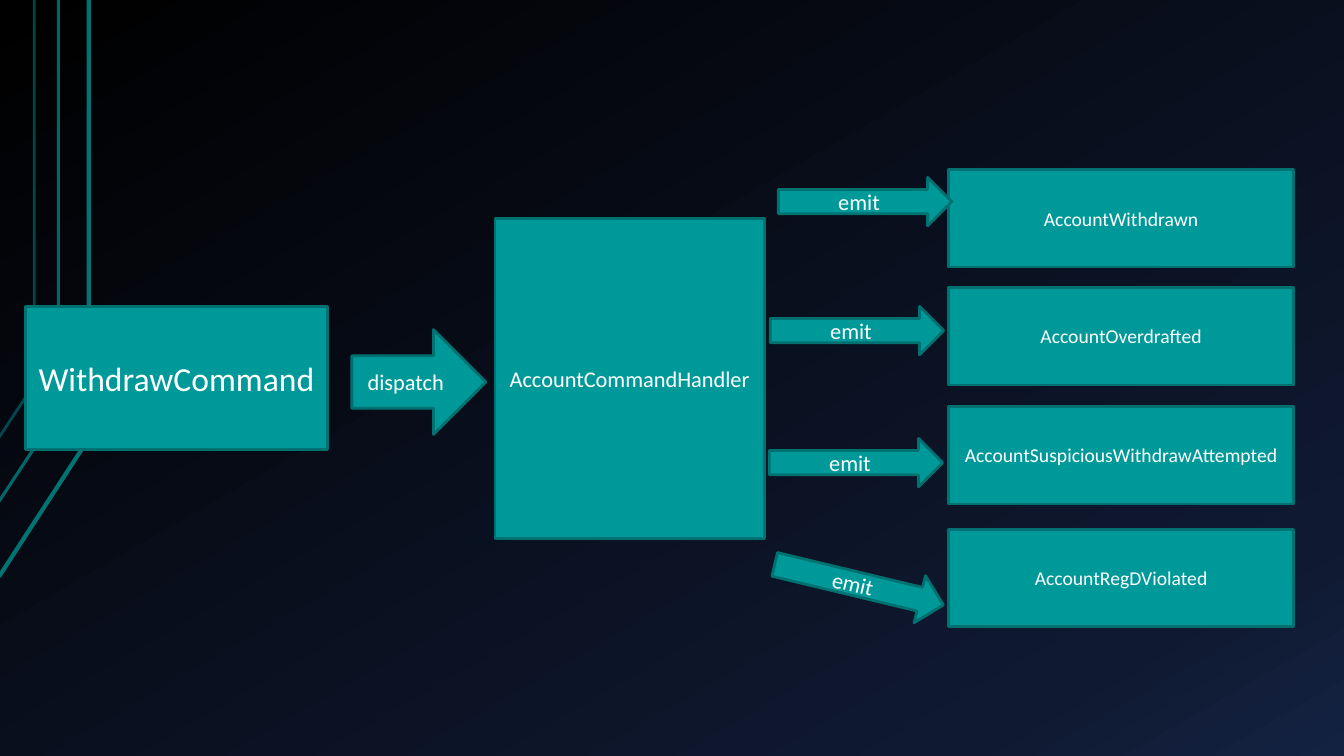
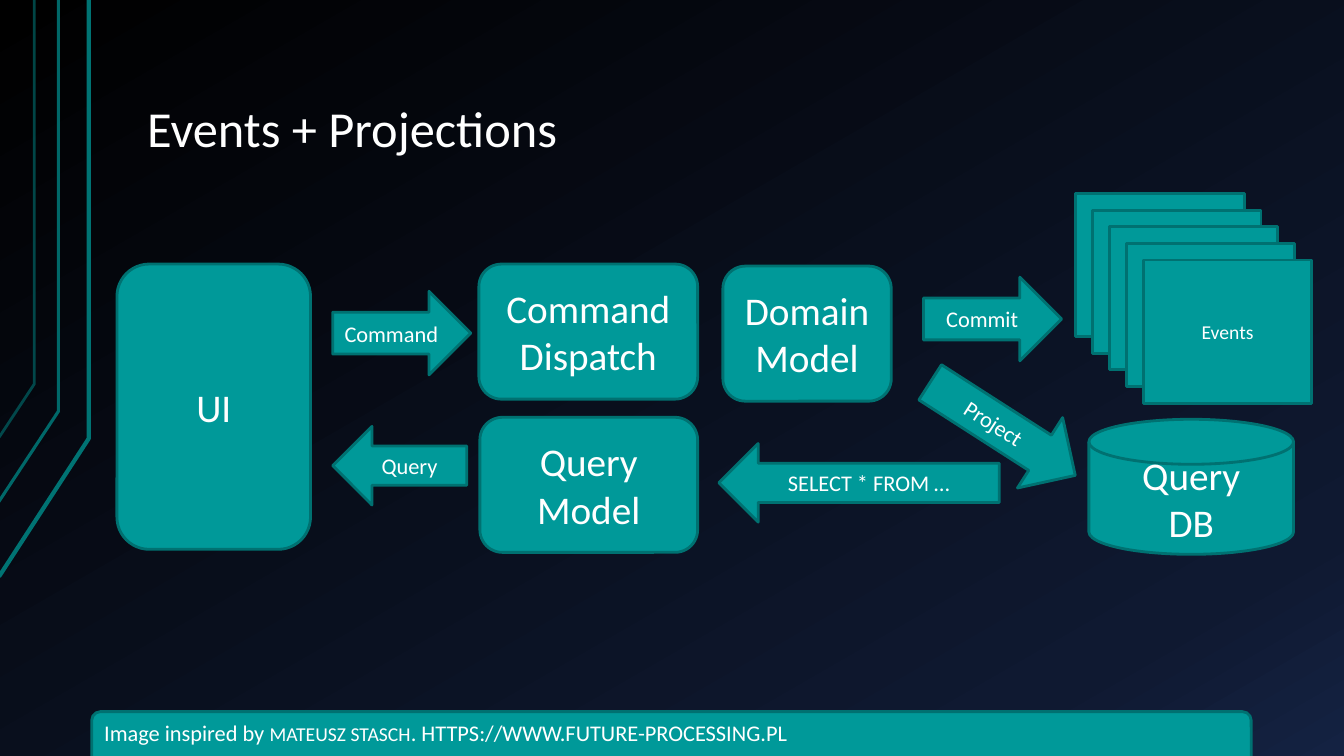
from copy import deepcopy
from dataclasses import dataclass

from lxml.etree import SubElement
from pptx import Presentation
from pptx.dml.color import RGBColor
from pptx.enum.shapes import MSO_SHAPE as Shape
from pptx.enum.text import MSO_ANCHOR as Anchor, MSO_AUTO_SIZE as AutoSize, PP_ALIGN as Align
from pptx.oxml.ns import qn
from pptx.util import Inches, Pt


@dataclass(frozen=True)
class Theme:
    font: str = "Calibri"
    white: str = "FFFFFF"
    fill: str = "009999"
    edge: str = "007171"
    rail: str = "007373"
    backdrop: tuple = ((0, "000000"), (0.85, "0F1931"), (1, "142242"))
    backdrop_angle: int = 300
    edge_width: float = 2
    title: int = 36
    block: int = 28
    command: int = 24
    label: int = 16
    small: int = 14


@dataclass(frozen=True)
class Box:
    left: float
    top: float
    width: float
    height: float

    def inner(self, left, top, width, height):
        return Box(self.left + left, self.top + top, width, height)

    def lengths(self):
        return [Inches(v) for v in (self.left, self.top, self.width, self.height)]


THEME = Theme()
RAILS = (
    (((-0.01, 5.72), (0.88, 4.35), (0.88, 0)), 3, 100),
    (((-0.02, 4.99), (0.58, 4.08), (0.58, 0)), 2.25, 90),
    (((-0.01, 4.34), (0.34, 3.81), (0.34, 0)), 2, 60),
)


def apply(target, formats):
    for name, value in formats.items():
        setattr(target, name, value)


def style_font(font, size):
    apply(font, {"name": THEME.font, "size": Pt(size)})
    font.color.rgb = RGBColor.from_string(THEME.white)


def paint_backdrop(master):
    fill = master.background.fill
    fill.gradient()
    fill.gradient_angle = THEME.backdrop_angle
    stop_list = next(master.element.iter(qn("a:gsLst")))
    stop_list.append(deepcopy(stop_list[-1]))
    for stop, (position, color) in zip(fill.gradient_stops, THEME.backdrop):
        stop.position = position
        stop.color.rgb = RGBColor.from_string(color)


def draw_rails(slide):
    for points, width, opacity in RAILS:
        start, *rest = [(Inches(x), Inches(y)) for x, y in points]
        builder = slide.shapes.build_freeform(*start)
        builder.add_line_segments(rest, close=False)
        rail = builder.convert_to_shape()
        rail.shadow.inherit = False
        rail.fill.background()
        rail.line.width = Pt(width)
        rail.line.color.rgb = RGBColor.from_string(THEME.rail)
        color = next(rail.element.iter(qn("a:srgbClr")))
        SubElement(color, qn("a:alpha")).set("val", str(opacity * 1000))


def add_node(slide, kind, box, text="", size=THEME.label, rotation=0):
    node = slide.shapes.add_shape(kind, *box.lengths())
    node.shadow.inherit = False
    node.rotation = rotation
    node.fill.solid()
    node.fill.fore_color.rgb = RGBColor.from_string(THEME.fill)
    node.line.color.rgb = RGBColor.from_string(THEME.edge)
    node.line.width = Pt(THEME.edge_width)
    frame = node.text_frame
    apply(frame, {"word_wrap": True, "vertical_anchor": Anchor.MIDDLE})
    if text:
        frame.text = text
        for paragraph in frame.paragraphs:
            paragraph.alignment = Align.CENTER
            style_font(paragraph.runs[0].font, size)
    return node


def add_nodes(slide, box, nodes):
    for kind, place, *content in nodes:
        add_node(slide, kind, box.inner(*place), *content)


def place_title(slide, box, text):
    title = slide.shapes.title
    apply(title, dict(zip(("left", "top", "width", "height"), box.lengths())))
    frame = title.text_frame
    frame.text = text
    apply(frame, {
        "word_wrap": True, "auto_size": AutoSize.NONE, "vertical_anchor": Anchor.BOTTOM,
        "margin_left": Inches(0.13), "margin_right": Inches(0.13),
        "margin_top": Inches(0.07), "margin_bottom": Inches(0.07),
    })
    apply(frame.paragraphs[0], {"alignment": Align.LEFT, "line_spacing": 0.9})
    style_font(frame.paragraphs[0].runs[0].font, THEME.title)


def command_handling(slide, box):
    add_nodes(slide, box, (
        (Shape.RECTANGLE, (0, 0.87, 3, 1.42), "WithdrawCommand", THEME.command),
        (Shape.RECTANGLE, (4.66, 0, 2.67, 3.17), "AccountCommandHandler"),
        (Shape.RIGHT_ARROW, (3.24, 1.1, 1.33, 1.04), "dispatch"),
    ))


def emitted_events(slide, box):
    events = (
        ("AccountWithdrawn", 0, (0.09, 0.08), 0),
        ("AccountOverdrafted", 1.17, (0.01, 1.36), 0),
        ("AccountSuspiciousWithdrawAttempted", 2.35, (0, 2.67), 0),
        ("AccountRegDViolated", 3.57, (0.03, 3.88), 13.5),
    )
    event_width = 3.42
    for event, top, emit, rotation in events:
        place = box.inner(box.width - event_width, top, event_width, 0.97)
        add_node(slide, Shape.RECTANGLE, place, event, THEME.small)
        add_node(slide, Shape.RIGHT_ARROW, box.inner(*emit, 1.72, 0.48), "emit", rotation=rotation)


def write_side(slide, box):
    add_nodes(slide, box, (
        (Shape.ROUNDED_RECTANGLE, (0, 0, 1.92, 2.83), "UI", THEME.block),
        (Shape.RIGHT_ARROW, (2.14, 0.27, 1.37, 0.83), "Command"),
        (Shape.ROUNDED_RECTANGLE, (3.59, 0, 2.17, 1.34), "Command Dispatch", THEME.block),
        (Shape.ROUNDED_RECTANGLE, (6.01, 0.02, 1.67, 1.34), "Domain Model", THEME.block),
        (Shape.RIGHT_ARROW, (8, 0.13, 1.37, 0.83), "Commit"),
    ))


def read_side(slide, box):
    add_nodes(slide, box, (
        (Shape.LEFT_ARROW, (0, 0.39, 1.33, 0.78), "Query"),
        (Shape.ROUNDED_RECTANGLE, (1.46, 0.3, 2.16, 1.34), "Query Model", THEME.block),
        (Shape.FLOWCHART_MAGNETIC_DISK, (7.5, 0.32, 2.03, 1.34), "Query\nDB", THEME.block),
        (Shape.RIGHT_ARROW, (5.79, 0, 1.71, 0.83), "Project", THEME.label, 32.7),
        (Shape.LEFT_ARROW, (3.83, 0.56, 2.78, 0.78), "SELECT * FROM …"),
    ))


def event_stack(slide, box, count=5):
    width, height = 1.67, 1.42
    step_x = (box.width - width) / (count - 1)
    step_y = (box.height - height) / (count - 1)
    for index in range(count):
        text = "Events" if index == count - 1 else ""
        sheet = box.inner(index * step_x, index * step_y, width, height)
        add_node(slide, Shape.RECTANGLE, sheet, text, THEME.small)


def credit_band(slide, box):
    band = add_node(slide, Shape.ROUND_2_SAME_RECTANGLE, box)
    band.text_frame.vertical_anchor = Anchor.TOP
    credit = band.text_frame.paragraphs[0]
    credit.alignment = Align.LEFT
    for text, size in (
        ("Image inspired by ", THEME.label),
        ("MATEUSZ STASCH", THEME.small),
        (". HTTPS://WWW.FUTURE-PROCESSING.PL", THEME.label),
    ):
        run = credit.add_run()
        run.text = text
        style_font(run.font, size)


def command_slide(deck):
    slide = deck.slides.add_slide(deck.slide_layouts.get_by_name("Blank"))
    draw_rails(slide)
    command_handling(slide, Box(0.25, 2.17, 7.33, 3.17))
    emitted_events(slide, Box(7.63, 1.68, 5.2, 4.54))


def projection_slide(deck):
    slide = deck.slides.add_slide(deck.slide_layouts.get_by_name("Title Only"))
    draw_rails(slide)
    place_title(slide, Box(1.33, 0.3, 11.33, 1.34), "Events + Projections")
    write_side(slide, Box(1.16, 2.62, 9.37, 2.83))
    read_side(slide, Box(3.3, 3.84, 9.53, 1.66))
    credit_band(slide, Box(0.91, 7.06, 11.5, 0.52))
    event_stack(slide, Box(10.67, 1.92, 2.34, 2.08))


def main():
    deck = Presentation()
    apply(deck, {"slide_width": Inches(13.33), "slide_height": Inches(7.5)})
    paint_backdrop(deck.slide_master)
    command_slide(deck)
    projection_slide(deck)
    deck.save("out.pptx")


if __name__ == "__main__":
    main()
